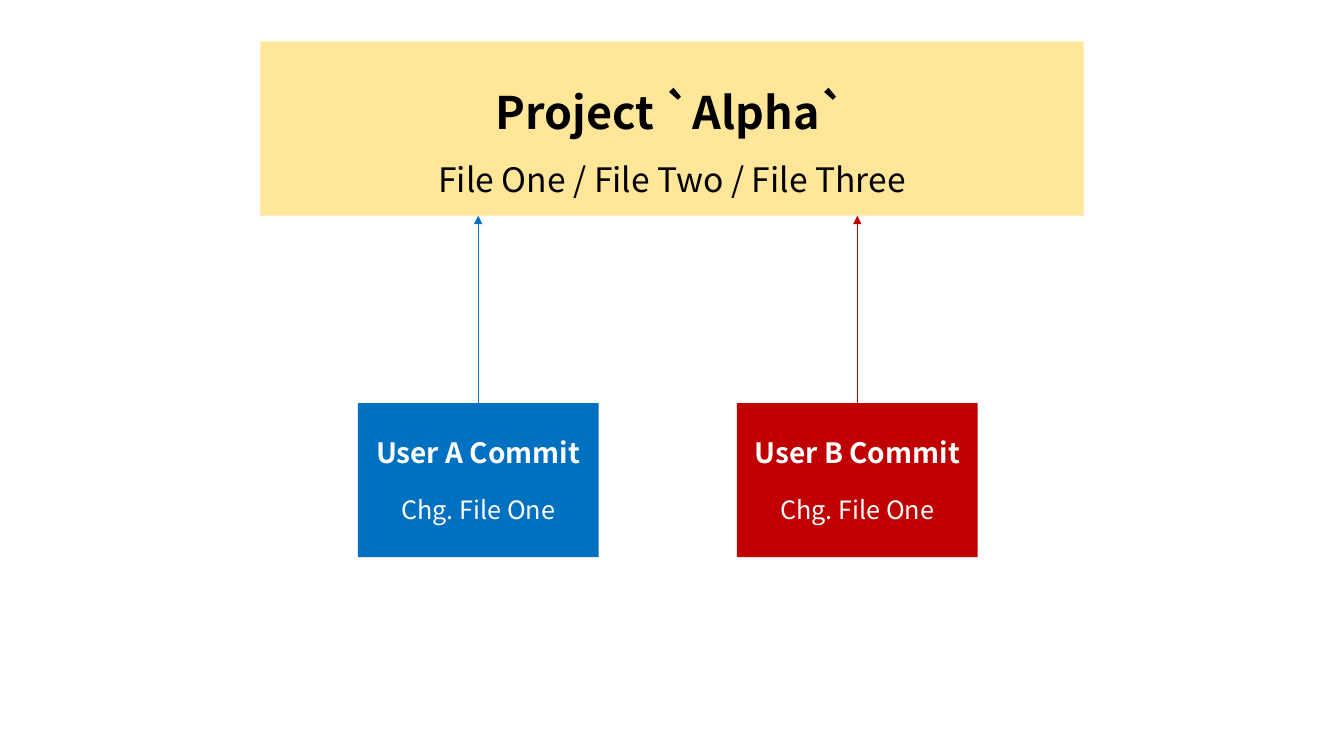
from lxml import etree
from pptx import Presentation
from pptx.dml.color import RGBColor
from pptx.enum import shapes, text
from pptx.oxml import ns
from pptx.util import Pt

HUES = {"gold": "FFE699", "blue": "0070C0", "red": "C00000", "black": "000000", "white": "FFFFFF"}
FONT = "Noto Sans CJK KR"


def paint(hue):
    return RGBColor.from_string(HUES[hue])


def add_box(place, fill, ink, lines):
    box = slide.shapes.add_shape(shapes.MSO_SHAPE.RECTANGLE, *map(Pt, place))
    box.shadow.inherit = False
    box.fill.solid()
    box.fill.fore_color.rgb = paint(fill)
    box.line.fill.background()
    frame = box.text_frame
    frame.word_wrap = True
    frame.vertical_anchor = text.MSO_ANCHOR.MIDDLE
    for i, (words, face, form) in enumerate(lines):
        para = frame.add_paragraph() if i else frame.paragraphs[0]
        para.alignment = text.PP_ALIGN.CENTER
        for key, value in form.items():
            setattr(para, key, value)
        run = para.add_run()
        run.text = words
        run.font.color.rgb = paint(ink)
        for key, value in {"name": FONT, **face}.items():
            setattr(run.font, key, value)
    return box


deck = Presentation()
deck.slide_width, deck.slide_height = Pt(960), Pt(540)
slide = deck.slides.add_slide(deck.slide_layouts[6])

loose = {"line_spacing": 1.5}
add_box((186, 29.5, 588, 124.6), "gold", "black", [
    ("Project `Alpha`", {"size": Pt(32), "bold": True}, loose),
    ("File One / File Two / File Three", {"size": Pt(24), "bold": False}, loose),
])

left, top, wide, high, step = 255.6, 288, 172, 110, 270.8
for i, (user, hue) in enumerate([("A", "blue"), ("B", "red")]):
    x = left + i * step
    box = add_box((x, top, wide, high), hue, "white", [
        (f"User {user} Commit", {"size": Pt(20), "bold": True}, {}),
        ("Chg. File One", {"size": Pt(18), "bold": False}, {"space_before": Pt(18)}),
    ])
    mid = Pt(x + wide / 2)
    arrow = slide.shapes.add_connector(shapes.MSO_CONNECTOR.STRAIGHT, mid, Pt(top), mid, Pt(154.1))
    arrow.begin_connect(box, 0)
    arrow.line.color.rgb = paint(hue)
    arrow.line.width = Pt(0.5)
    etree.SubElement(arrow.line._get_or_add_ln(), ns.qn("a:tailEnd"), type="triangle")
    etree.SubElement(arrow._element.spPr, ns.qn("a:effectLst"))

deck.save("out.pptx")
